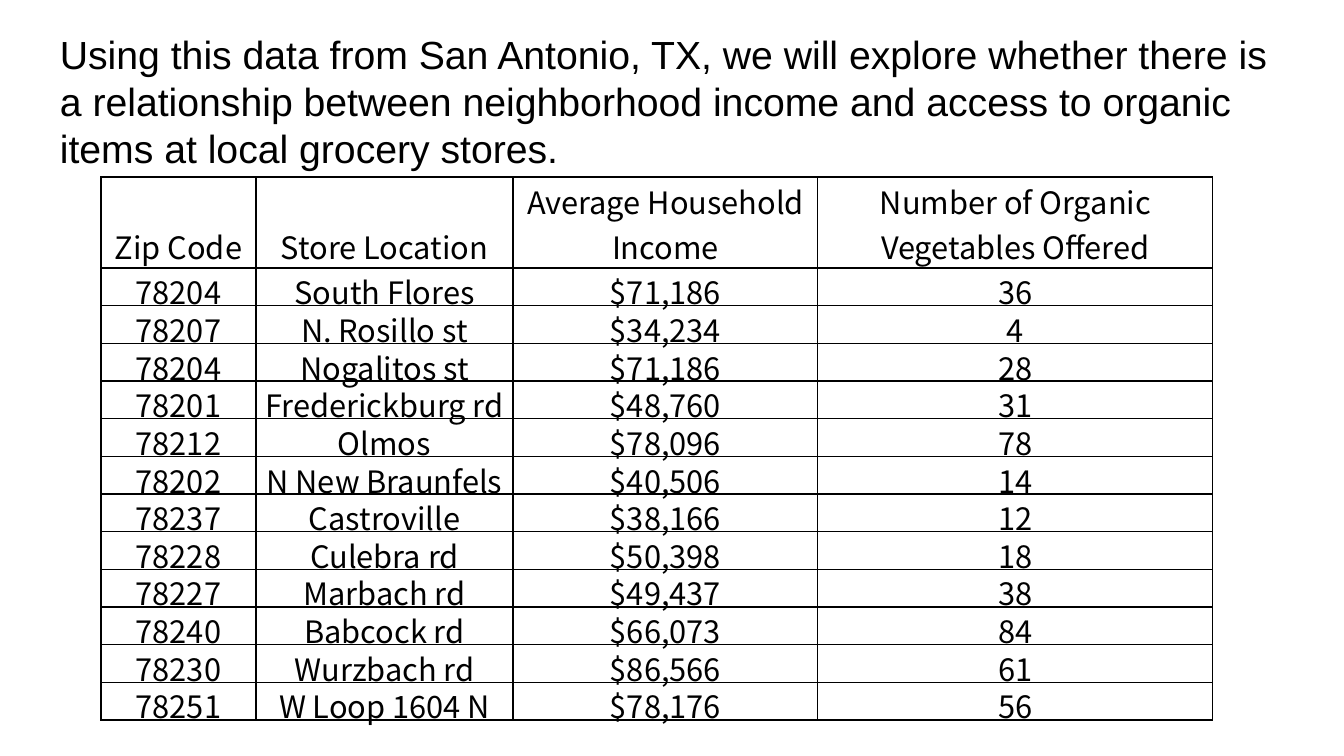
"""Build a slide with a grocery store data table and an introduction."""
import lxml.etree
import pptx
import pptx.dml.color
import pptx.enum.text
import pptx.oxml.ns
import pptx.util

INTRODUCTION = (
    "Using this data from San Antonio, TX, we will explore whether there is a "
    "relationship between neighborhood income and access to organic items at "
    "local grocery stores."
)
HEADINGS = (
    "Zip Code", "Store Location", "Average Household Income",
    "Number of Organic Vegetables Offered",
)
STORES = [
    ("78204", "South Flores", "$71,186", "36"),
    ("78207", "N. Rosillo st", "$34,234", "4"),
    ("78204", "Nogalitos st", "$71,186", "28"),
    ("78201", "Frederickburg rd", "$48,760", "31"),
    ("78212", "Olmos", "$78,096", "78"),
    ("78202", "N New Braunfels", "$40,506", "14"),
    ("78237", "Castroville", "$38,166", "12"),
    ("78228", "Culebra rd", "$50,398", "18"),
    ("78227", "Marbach rd", "$49,437", "38"),
    ("78240", "Babcock rd", "$66,073", "84"),
    ("78230", "Wurzbach rd", "$86,566", "61"),
    ("78251", "W Loop 1604 N", "$78,176", "56"),
]
THEME = {
    "ink": "000000",
    "intro_font": "Arial", "intro_size": 28,
    "table_font": "Noto Sans CJK SC", "table_size": 22,
    "border_width": 1,
}
SLIDE_SIZE = (1344, 756)
INTRO_BOX = (50, 25, 1255, 152)
TABLE_LEFT, TABLE_TOP = 101, 177
COLUMN_WIDTHS = (155, 257, 305, 395)
HEADING_HEIGHT, STORES_HEIGHT = 91, 452
CELL_MARGIN, STORE_BOTTOM_MARGIN = 1, -8


def px(length):
    """Turn px into EMU."""
    return pptx.util.Emu(round(length * 914400 / 100.8))


def add_run(paragraph, text, role):
    """Add a run in the font of its role."""
    run = paragraph.add_run()
    run.text = text
    run.font.name = THEME[role + "_font"]
    run.font.size = pptx.util.Pt(THEME[role + "_size"])
    run.font.bold = False
    run.font.color.rgb = pptx.dml.color.RGBColor.from_string(THEME["ink"])
    if role == "table":
        properties = run.font._element
        for script in ("a:ea", "a:cs"):
            typeface = lxml.etree.SubElement(properties, pptx.oxml.ns.qn(script))
            typeface.set("typeface", THEME["table_font"])


def add_borders(cell):
    """Draw a line on all four sides of a cell."""
    properties = cell._tc.get_or_add_tcPr()
    for position, side in enumerate(("a:lnL", "a:lnR", "a:lnT", "a:lnB")):
        line = lxml.etree.Element(pptx.oxml.ns.qn(side))
        line.set("w", str(pptx.util.Pt(THEME["border_width"])))
        fill = lxml.etree.SubElement(line, pptx.oxml.ns.qn("a:solidFill"))
        color = lxml.etree.SubElement(fill, pptx.oxml.ns.qn("a:srgbClr"))
        color.set("val", THEME["ink"])
        properties.insert(position, line)


def fill_cell(cell, text, bottom_margin):
    """Write centred text at the foot of a bordered cell."""
    cell.fill.background()
    cell.margin_left = cell.margin_right = cell.margin_top = px(CELL_MARGIN)
    cell.margin_bottom = px(bottom_margin)
    cell.vertical_anchor = pptx.enum.text.MSO_ANCHOR.BOTTOM
    paragraph = cell.text_frame.paragraphs[0]
    paragraph.alignment = pptx.enum.text.PP_ALIGN.CENTER
    add_run(paragraph, text, "table")
    add_borders(cell)


def add_store_table(slide):
    """Add the table of stores."""
    rows = [HEADINGS] + STORES
    shape = slide.shapes.add_table(
        len(rows), len(HEADINGS), px(TABLE_LEFT), px(TABLE_TOP),
        px(sum(COLUMN_WIDTHS)), px(HEADING_HEIGHT + STORES_HEIGHT),
    )
    table = shape.table
    table.first_row = table.horz_banding = False
    for column, width in zip(table.columns, COLUMN_WIDTHS):
        column.width = px(width)
    for row_index, texts in enumerate(rows):
        is_store = row_index > 0
        height = STORES_HEIGHT / len(STORES) if is_store else HEADING_HEIGHT
        table.rows[row_index].height = px(height)
        for column_index, text in enumerate(texts):
            bottom_margin = STORE_BOTTOM_MARGIN if is_store else 0
            fill_cell(table.cell(row_index, column_index), text, bottom_margin)


def add_introduction(slide):
    """Add the introduction above the table."""
    shape = slide.shapes.add_textbox(*map(px, INTRO_BOX))
    shape.text_frame.word_wrap = True
    shape.text_frame.auto_size = pptx.enum.text.MSO_AUTO_SIZE.SHAPE_TO_FIT_TEXT
    add_run(shape.text_frame.paragraphs[0], INTRODUCTION, "intro")


def main():
    """Build and save the presentation."""
    presentation = pptx.Presentation()
    presentation.slide_width, presentation.slide_height = map(px, SLIDE_SIZE)
    slide = presentation.slides.add_slide(presentation.slide_layouts[6])
    add_store_table(slide)
    add_introduction(slide)
    presentation.save("out.pptx")


if __name__ == "__main__":
    main()
